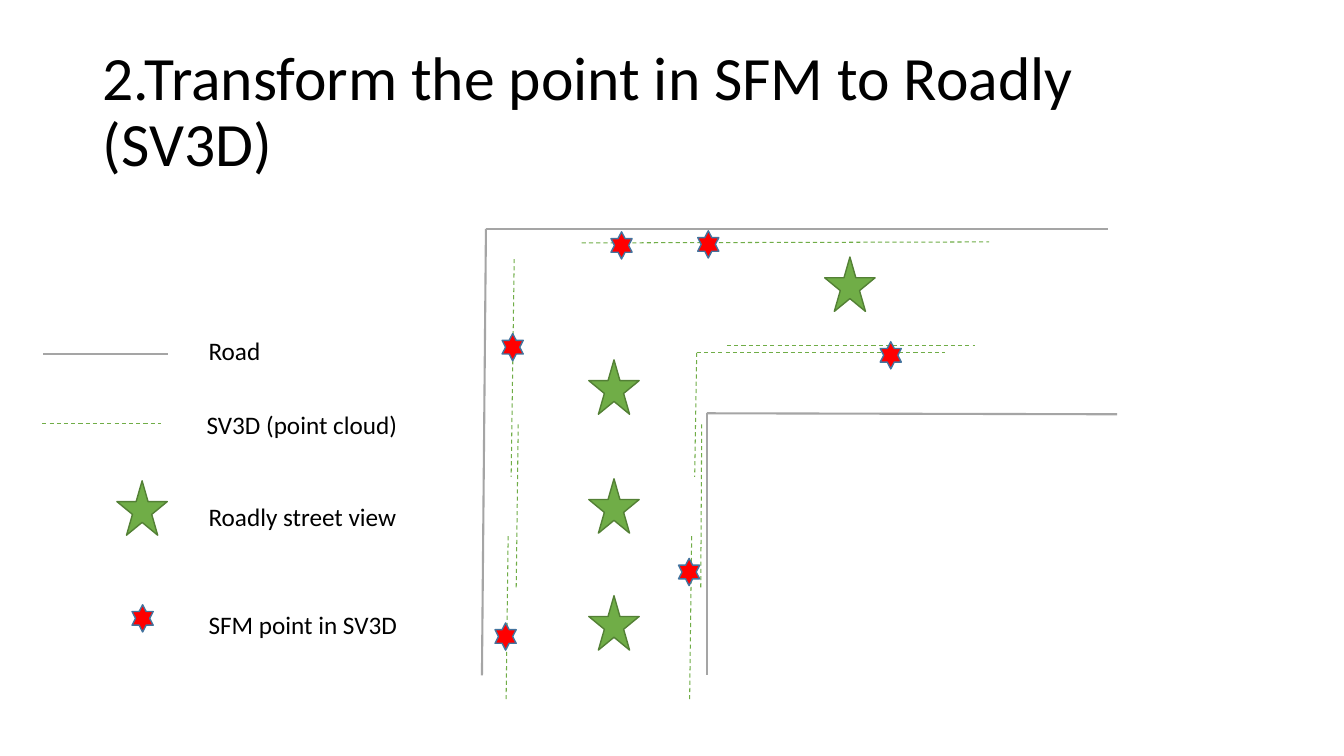
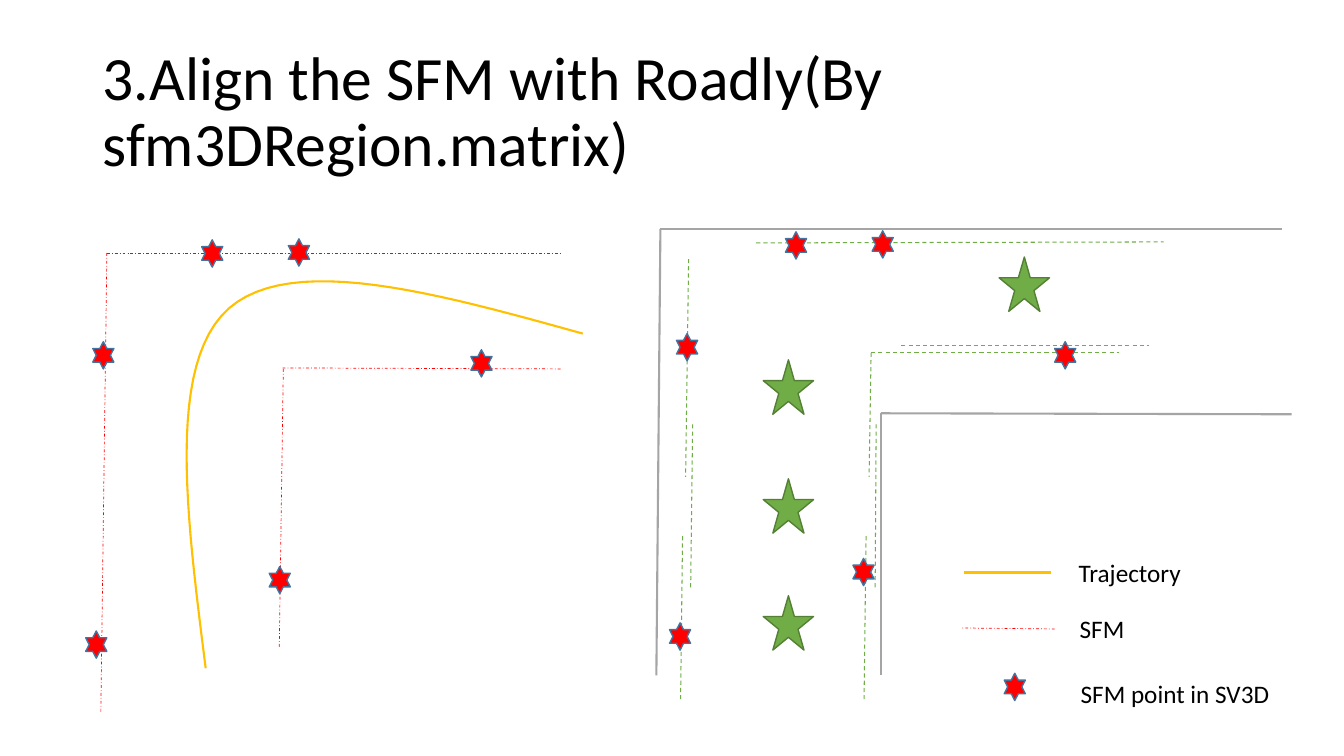
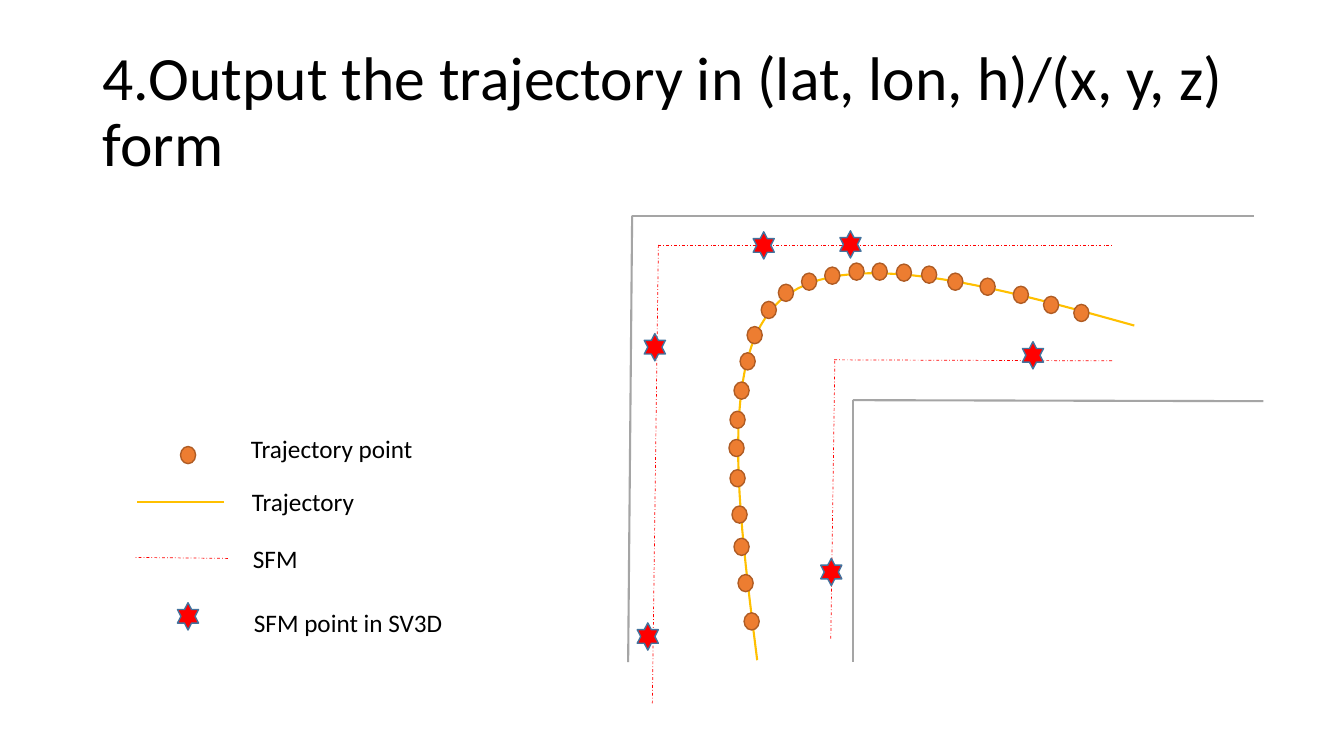
from pptx import Presentation
from pptx.dml.color import RGBColor
from pptx.enum.dml import MSO_LINE
from pptx.enum.shapes import MSO_CONNECTOR, MSO_SHAPE
from pptx.enum.text import MSO_ANCHOR, MSO_AUTO_SIZE
from pptx.oxml.ns import qn
from pptx.util import Emu, Pt
from lxml import etree

EMU_PER_PX = 9144  # 100 px to the inch
FONT = "Calibri"
BLACK = RGBColor(0x00, 0x00, 0x00)
GREY = RGBColor(0xA5, 0xA5, 0xA5)
GREEN = RGBColor(0x70, 0xAD, 0x47)
DARK_GREEN = RGBColor(0x53, 0x80, 0x35)
RED = RGBColor(0xFF, 0x00, 0x00)
BLUE = RGBColor(0x43, 0x73, 0x9E)
GOLD = RGBColor(0xFF, 0xC0, 0x00)
ORANGE = RGBColor(0xED, 0x7D, 0x31)
BROWN = RGBColor(0xAF, 0x5C, 0x24)

# Line styles: colour, width in points, dash
ROAD = (GREY, 1.5, None)
CLOUD = (GREEN, 0.75, MSO_LINE.DASH)
SFM = (RED, 0.5, MSO_LINE.DASH_DOT)
TRAJECTORY = (GOLD, 1.5, None)

# Marker styles: preset, width, height, fill, outline
STREET_VIEW = (MSO_SHAPE.STAR_5_POINT, 50, 54, GREEN, DARK_GREEN)
SFM_POINT = (MSO_SHAPE.STAR_6_POINT, 21, 27, RED, BLUE)
TRAJECTORY_POINT = (MSO_SHAPE.OVAL, 15, 17, ORANGE, BROWN)

# The crossing, in the coordinates of the first slide
ROAD_LINES = [(482, 227, 478, 670), (701, 410, 701, 670),
              (482, 227, 1099, 227), (701, 410, 1108, 411)]
CLOUD_LINES = [(504, 532, 502, 695), (686, 532, 684, 695),
               (514, 421, 512, 584), (696, 421, 695, 584),
               (510, 257, 507, 473), (691, 350, 689, 473),
               (691, 350, 937, 350), (721, 343, 967, 343),
               (577, 241, 981, 240)]
SFM_LINES = [(512, 243, 506, 700), (687, 358, 683, 635),
             (512, 243, 962, 243), (962, 358, 685, 357)]
STREET_VIEWS = [(584, 591), (584, 475), (584, 357), (818, 255)]
SFM_POINTS = [(491, 618), (673, 554), (498, 331),
              (606, 230), (692, 229), (873, 339)]
TRAJECTORY_CURVES = [((984, 323), (840, 283), (696, 243), (633, 298)),
                     ((633, 298), (571, 353), (591, 504), (610, 655))]
TRAJECTORY_POINTS = [
    (738, 608), (732, 570), (728, 534), (726, 502), (724, 466), (723, 436),
    (724, 408), (728, 379), (734, 350), (741, 324), (755, 299), (772, 282),
    (795, 271), (818, 265), (842, 261), (865, 261), (889, 262), (914, 264),
    (940, 271), (972, 276), (1005, 284), (1035, 294), (1065, 302)]
CURVE_STEPS = 24


def bezier_point(curve, t):
    weights = ((1 - t) ** 3, 3 * t * (1 - t) ** 2, 3 * t ** 2 * (1 - t), t ** 3)
    return tuple(sum(w * point[axis] for w, point in zip(weights, curve))
                 for axis in (0, 1))


class Deck:
    """Holds the style, the current slide and the origin elements are drawn from."""

    def __init__(self):
        self.presentation = Presentation()
        self.presentation.slide_width = self.length(1333)
        self.presentation.slide_height = self.length(750)

    def length(self, px):
        return Emu(round(px * EMU_PER_PX))

    def place(self, x, y):
        return self.length(self.origin[0] + x), self.length(self.origin[1] + y)

    def move_origin(self, x, y):
        self.origin = (x, y)

    def new_slide(self, title):
        blank = self.presentation.slide_layouts[6]
        self.shapes = self.presentation.slides.add_slide(blank).shapes
        self.move_origin(0, 0)
        frame = self.text(92, 40, 1150, 145, title, 44)
        frame.word_wrap = True
        frame.vertical_anchor = MSO_ANCHOR.MIDDLE
        frame.paragraphs[0].line_spacing = 0.9

    def text(self, x, y, width, height, words, size):
        box = self.shapes.add_textbox(*self.place(x, y), self.length(width),
                                      self.length(height))
        frame = box.text_frame
        frame.text = words
        font = frame.paragraphs[0].runs[0].font
        font.name, font.size = FONT, Pt(size)
        font.color.rgb = BLACK
        return frame

    def label(self, x, y, width, words):
        frame = self.text(x, y, width, 40, words, 18)
        frame.word_wrap = False
        frame.auto_size = MSO_AUTO_SIZE.SHAPE_TO_FIT_TEXT

    def style_line(self, line, style):
        color, width, dash = style
        line.color.rgb = color
        line.width = Pt(width)
        if dash:
            line.dash_style = dash

    def line(self, ends, style):
        connector = self.shapes.add_connector(
            MSO_CONNECTOR.STRAIGHT, *self.place(*ends[:2]), *self.place(*ends[2:]))
        self.style_line(connector.line, style)
        etree.SubElement(connector._element.spPr, qn("a:effectLst"))

    def lines(self, all_ends, style):
        for ends in all_ends:
            self.line(ends, style)

    def marker(self, x, y, style):
        preset, width, height, fill, outline = style
        shape = self.shapes.add_shape(preset, *self.place(x, y),
                                      self.length(width), self.length(height))
        shape.shadow.inherit = False
        shape.fill.solid()
        shape.fill.fore_color.rgb = fill
        self.style_line(shape.line, (outline, 1, None))

    def markers(self, corners, style):
        for x, y in corners:
            self.marker(x, y, style)

    def trajectory(self):
        points = [self.place(*bezier_point(curve, step / CURVE_STEPS))
                  for curve in TRAJECTORY_CURVES
                  for step in range(CURVE_STEPS + 1)]
        builder = self.shapes.build_freeform(*points[0], scale=1.0)
        builder.add_line_segments(points[1:], close=False)
        shape = builder.convert_to_shape()
        shape.shadow.inherit = False
        shape.fill.background()
        self.style_line(shape.line, TRAJECTORY)

    def street_view_map(self):
        self.markers(STREET_VIEWS, STREET_VIEW)
        self.lines(ROAD_LINES, ROAD)
        self.lines(CLOUD_LINES, CLOUD)
        self.markers(SFM_POINTS, SFM_POINT)

    def sfm_map(self):
        self.lines(SFM_LINES, SFM)
        self.markers(SFM_POINTS, SFM_POINT)
        self.trajectory()

    def sfm_point_key(self, x, y):
        self.marker(x, y, SFM_POINT)
        self.label(x + 66, y, 209, "SFM point in SV3D")

    def sfm_legend(self, x, y):
        """Draw the keys for trajectory, SFM line and SFM point from a corner."""
        self.move_origin(x, y)
        self.line((2, 20, 88, 20), TRAJECTORY)
        self.label(106, 0, 122, "Trajectory")
        self.line((92, 76, 0, 75), SFM)
        self.label(107, 56, 65, "SFM")
        self.sfm_point_key(42, 120)


def transform_slide(deck):
    deck.new_slide("2.Transform the point in SFM to Roadly (SV3D)")
    deck.street_view_map()
    deck.line((43, 351, 167, 351), ROAD)
    deck.label(197, 328, 72, "Road")
    deck.line((42, 420, 160, 420), CLOUD)
    deck.label(195, 401, 212, "SV3D (point cloud)")
    deck.marker(116, 477, STREET_VIEW)
    deck.label(197, 492, 212, "Roadly street view")
    deck.sfm_point_key(131, 600)


def align_slide(deck):
    deck.new_slide("3.Align the SFM with Roadly(By sfm3DRegion.matrix)")
    deck.move_origin(173, 0)
    deck.street_view_map()
    deck.move_origin(-406, 8)
    deck.sfm_map()
    deck.sfm_legend(954, 548)


def output_slide(deck):
    deck.new_slide("4.Output the trajectory in (lat, lon, h)/(x, y, z) form")
    deck.move_origin(141, 0)
    deck.sfm_map()
    deck.sfm_legend(134, 478)
    deck.move_origin(0, 0)
    deck.markers(TRAJECTORY_POINTS, TRAJECTORY_POINT)
    deck.marker(179, 443, TRAJECTORY_POINT)
    deck.label(239, 425, 182, "Trajectory point")
    deck.move_origin(145, -13)
    deck.lines(ROAD_LINES, ROAD)


def main():
    deck = Deck()
    transform_slide(deck)
    align_slide(deck)
    output_slide(deck)
    deck.presentation.save("out.pptx")


if __name__ == "__main__":
    main()
